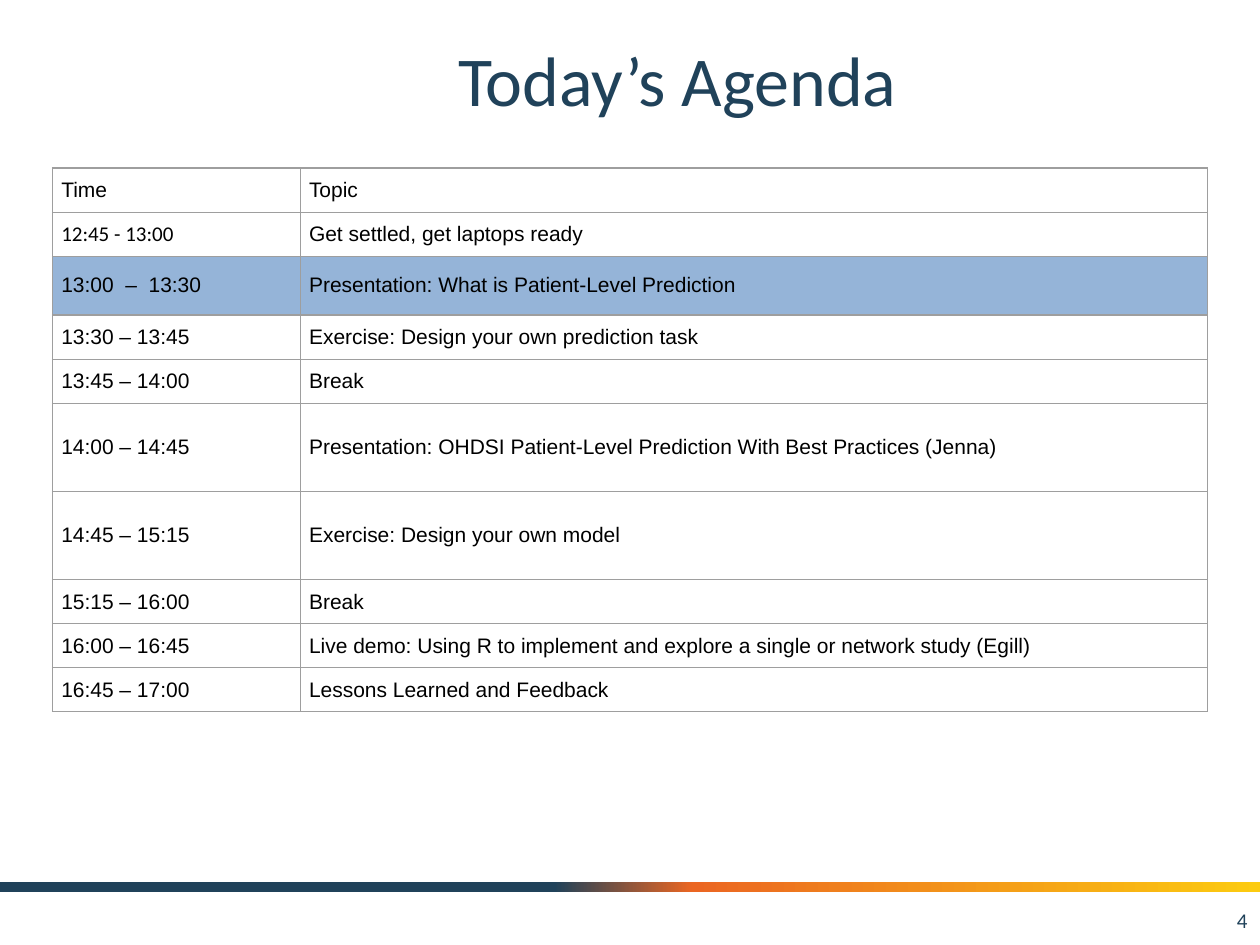
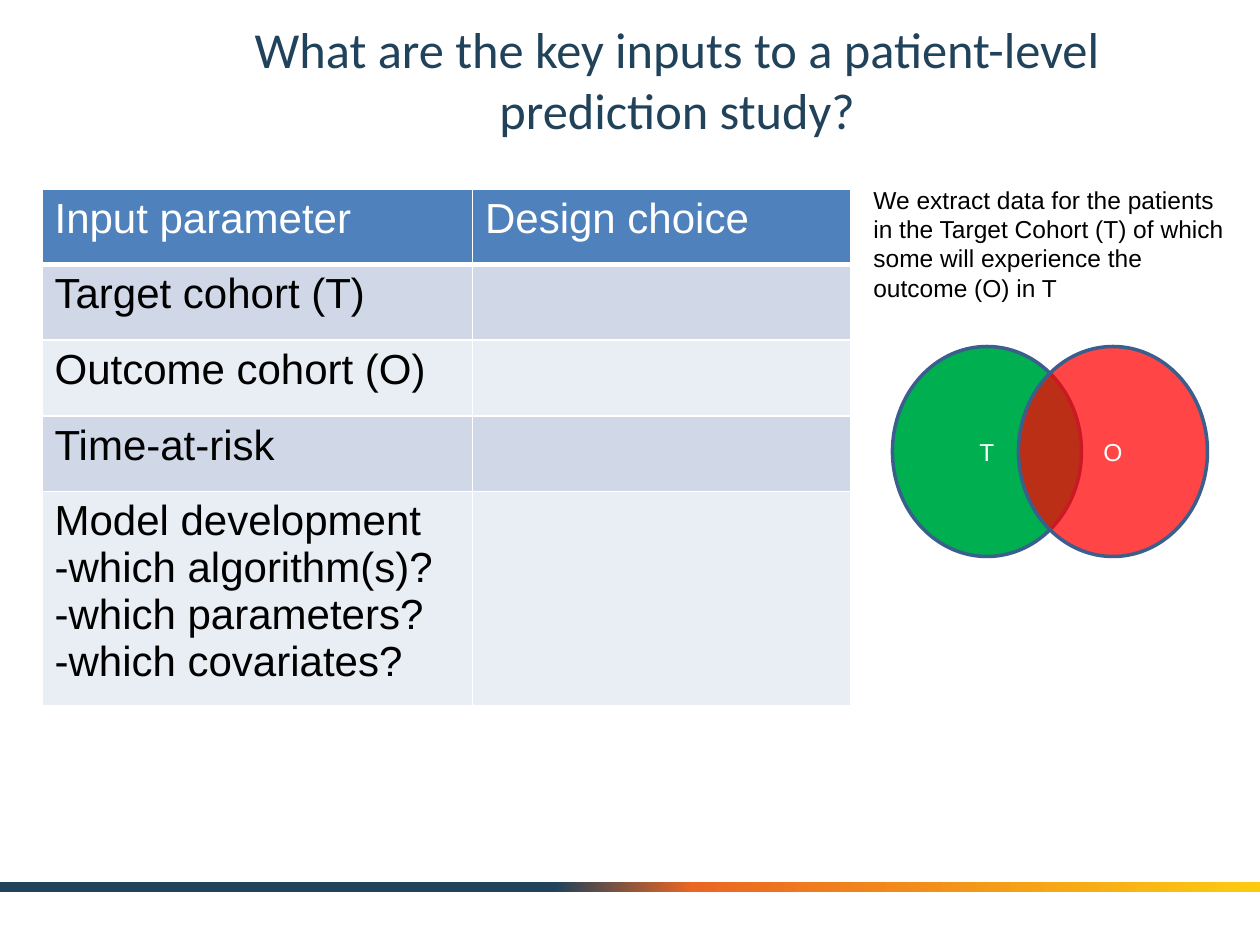
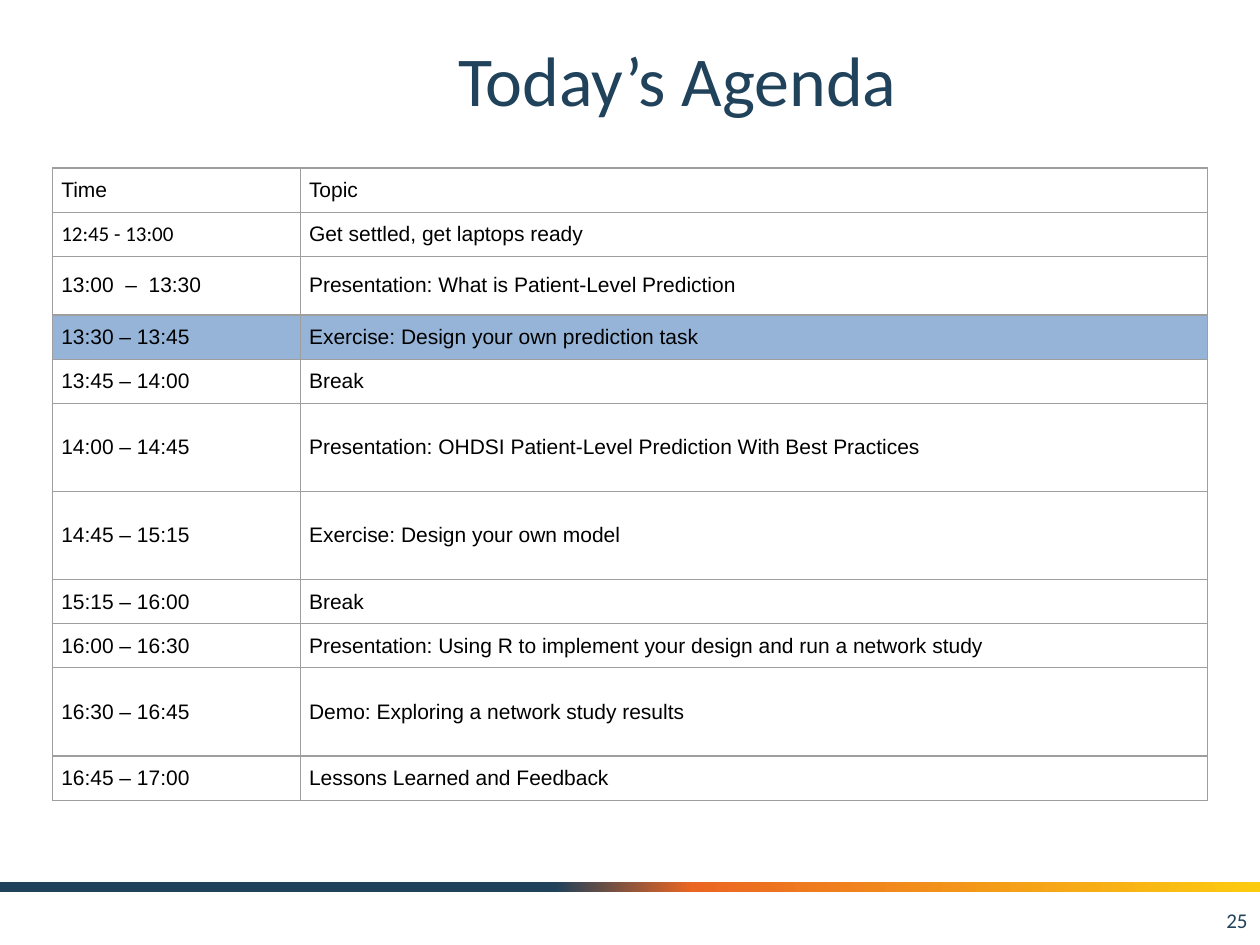
import pptx
import pptx.util
import pptx.dml.color
import pptx.enum.shapes
import pptx.enum.text
import pptx.oxml
import pptx.oxml.ns
from lxml import etree

COLORS = {
    "navy": "20425A", "orange": "EB6622", "yellow": "FCCB10",
    "white": "FFFFFF", "black": "000000", "rule": "9E9E9E",
    "current": "95B4D8", "header": "4F81BD", "band": "D0D8E8",
    "light": "E9EDF4", "outline": "3A5F8C", "green": "00B050", "red": "FF0000",
}
BAND_STOPS = [(0, "navy"), (44, "navy"), (55, "orange"), (100, "yellow")]
AGENDA_TITLE = "Today’s Agenda"
BEST_PRACTICES = "Presentation: OHDSI Patient-Level Prediction With Best Practices"
ROW = 4.2
MORNING = [
    ("Time", "Topic", ROW),
    ("12:45 - 13:00", "Get settled, get laptops ready", ROW),
    ("13:00  –  13:30", "Presentation: What is Patient-Level Prediction", 5.6),
    ("13:30 – 13:45", "Exercise: Design your own prediction task", ROW),
    ("13:45 – 14:00", "Break", ROW),
]
MODELLING = [
    ("14:45 – 15:15", "Exercise: Design your own model", 2 * ROW),
    ("15:15 – 16:00", "Break", ROW),
]
CLOSING = [("16:45 – 17:00", "Lessons Learned and Feedback", ROW)]
AGENDA_WITH_SPEAKERS = MORNING + [
    ("14:00 – 14:45", BEST_PRACTICES + " (Jenna)", 2 * ROW),
] + MODELLING + [
    ("16:00 – 16:45", "Live demo: Using R to implement and explore a single or network study (Egill)", ROW),
] + CLOSING
AGENDA_WITH_DEMO = MORNING + [
    ("14:00 – 14:45", BEST_PRACTICES, 2 * ROW),
] + MODELLING + [
    ("16:00 – 16:30", "Presentation: Using R to implement your design and run a network study", ROW),
    ("16:30 – 16:45", "Demo: Exploring a network study results", 2 * ROW),
] + CLOSING
INPUTS_TITLE = "What are the key inputs to a patient-level prediction study?"
INPUTS = [
    ("Input parameter", "Design choice", 7.2),
    ("Target cohort (T)", "", 7.2),
    ("Outcome cohort (O)", "", 7.2),
    ("Time-at-risk", "", 7.2),
    ("Model development\n-which algorithm(s)?\n-which parameters?\n-which covariates?", "", 20.4),
]
COHORT_NOTE = ("We extract data for the patients in the Target Cohort (T) of which "
               "some will experience the outcome (O) in T")
COHORTS = [("T", 85, "green", 100), ("O", 97, "red", 73)]

prs = pptx.Presentation()
prs.slide_width = pptx.util.Inches(10)
prs.slide_height = pptx.util.Inches(7.5)
UNIT = prs.slide_width / 120
MIDDLE = pptx.enum.text.MSO_ANCHOR.MIDDLE
ALIGN = pptx.enum.text.PP_ALIGN
SHAPE = pptx.enum.shapes.MSO_SHAPE


def grid(*cells):
    return [round(c * UNIT) for c in cells]


def rgb(name):
    return pptx.dml.color.RGBColor.from_string(COLORS[name])


def sub(parent, tag, **attrs):
    return etree.SubElement(parent, pptx.oxml.ns.qn(tag), attrs)


def write(tf, text, size, color, font="Arial", align=None):
    tf.text = text
    for p in tf.paragraphs:
        p.alignment = align
        p.font.size = pptx.util.Pt(size)
        p.font.name = font
        p.font.color.rgb = rgb(color)


def add_text(slide, area, text, size, color, font="Arial", align=None, anchor=None):
    tf = slide.shapes.add_textbox(*grid(*area)).text_frame
    tf.word_wrap = True
    tf.vertical_anchor = anchor
    write(tf, text, size, color, font, align)
    return tf


def add_shape(slide, kind, area):
    s = slide.shapes.add_shape(kind, *grid(*area))
    s.shadow.inherit = False
    return s


def add_slide(title, size, number=None):
    slide = prs.slides.add_slide(prs.slide_layouts[6])
    band = add_shape(slide, SHAPE.RECTANGLE, (0, 84, 120, 1))
    band.line.fill.background()
    band.fill.gradient()
    band.fill.gradient_angle = 0
    stops = band._element.spPr.find(".//" + pptx.oxml.ns.qn("a:gsLst"))
    for stop in list(stops):
        stops.remove(stop)
    for share, color in BAND_STOPS:
        stop = sub(stops, "a:gs", pos=str(share * 1000))
        sub(stop, "a:srgbClr", val=COLORS[color])
    tf = add_text(slide, (15, 2, 99, 11), title, size, "navy", "Calibri", ALIGN.CENTER, MIDDLE)
    tf.margin_top = tf.margin_bottom = pptx.util.Inches(0.1)
    if number:
        add_text(slide, (92, 85.2, 28, 4.8), number, 12, "navy", "Calibri", ALIGN.RIGHT, MIDDLE)
    return slide


def border(cell, color, width, bottom=None):
    tcPr = cell._tc.get_or_add_tcPr()
    for side in "LRTB":
        points = bottom if side == "B" and bottom else width
        ln = sub(tcPr, "a:ln" + side, w=str(pptx.util.Pt(points)))
        sub(sub(ln, "a:solidFill"), "a:srgbClr", val=COLORS[color])


def add_table(slide, left, top, widths, rows):
    heights = [row[-1] for row in rows]
    area = grid(left, top, sum(widths), sum(heights))
    table = slide.shapes.add_table(len(rows), len(widths), *area).table
    table.first_row = table.horz_banding = False
    for column, width in zip(table.columns, grid(*widths)):
        column.width = width
    for row, height in zip(table.rows, grid(*heights)):
        row.height = height
    return [(i, j, table.cell(i, j), text)
            for i, row in enumerate(rows) for j, text in enumerate(row[:-1])]


def add_agenda(number, rows, current):
    slide = add_slide(AGENDA_TITLE, 40, number)
    for i, j, cell, text in add_table(slide, 5, 16, (23.6, 86.4), rows):
        border(cell, "rule", 0.75)
        if text and i == current:
            cell.fill.solid()
            cell.fill.fore_color.rgb = rgb("current")
        else:
            cell.fill.background()
        cell.vertical_anchor = MIDDLE
        cell.margin_left = cell.margin_right = pptx.util.Inches(0.07)
        cell.margin_top = cell.margin_bottom = 0
        write(cell.text_frame, text, 12, "black", "Calibri" if (i, j) == (1, 0) else "Arial")


def add_inputs():
    slide = add_slide(INPUTS_TITLE, 28.8)
    for i, j, cell, text in add_table(slide, 4, 18, (41, 36), INPUTS):
        border(cell, "white", 1, None if i else 3)
        cell.fill.solid()
        cell.fill.fore_color.rgb = rgb("header" if i == 0 else "band" if i % 2 else "light")
        write(cell.text_frame, text, 24, "black" if i else "white")
    for label, left, color, opacity in COHORTS:
        s = add_shape(slide, SHAPE.OVAL, (left, 33, 18, 20))
        s.fill.solid()
        s.fill.fore_color.rgb = rgb(color)
        if opacity < 100:
            clr = s._element.spPr.find(".//" + pptx.oxml.ns.qn("a:srgbClr"))
            sub(clr, "a:alpha", val=str(opacity * 1000))
        s.line.color.rgb = rgb("outline")
        s.line.width = pptx.util.Pt(2)
        s.text_frame.vertical_anchor = MIDDLE
        write(s.text_frame, label, 14, "white", align=ALIGN.CENTER)
    tf = add_text(slide, (82, 17, 37, 12.5), COHORT_NOTE, 14, "black")
    tf.auto_size = pptx.enum.text.MSO_AUTO_SIZE.SHAPE_TO_FIT_TEXT


def main():
    add_agenda("4", AGENDA_WITH_SPEAKERS, 2)
    add_inputs()
    add_agenda("25", AGENDA_WITH_DEMO, 3)
    prs.save("out.pptx")


if __name__ == "__main__":
    main()
